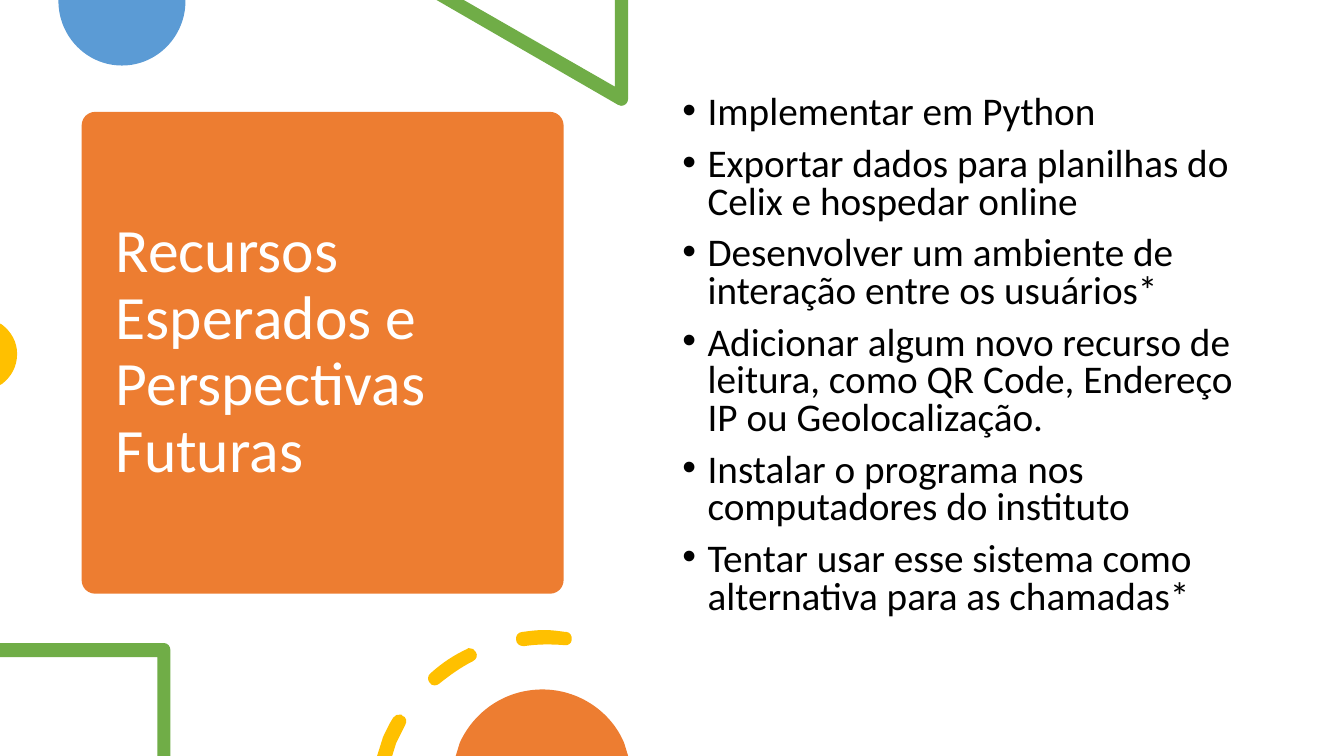
from lxml.etree import SubElement
from pptx import Presentation
from pptx.dml.color import RGBColor
from pptx.enum.shapes import MSO_SHAPE
from pptx.enum.text import MSO_ANCHOR
from pptx.oxml.ns import qn
from pptx.util import Inches, Pt

BLUE, GREEN, ORANGE, YELLOW = "5B9BD5", "70AD47", "ED7D31", "FFC000"
WHITE, BLACK = "FFFFFF", "000000"

RESOURCES = [
    "Implementar em Python",
    "Exportar dados para planilhas do Celix e hospedar online",
    "Desenvolver um ambiente de interação entre os usuários*",
    "Adicionar algum novo recurso de leitura, como QR Code, Endereço IP ou Geolocalização.",
    "Instalar o programa nos computadores do instituto",
    "Tentar usar esse sistema como alternativa para as chamadas*",
]

BLUE_DISC = [(1.84, 0), (0.58, 0), (0.58, 0.01), (0.58, 0.36, 0.86, 0.65, 1.21, 0.65),
             (1.56, 0.65, 1.84, 0.36, 1.84, 0.01)]
GREEN_TRIANGLE = [(6.23, 0), (6.1, 0), (6.1, 0.86), (4.6, 0), (4.33, 0), (6.13, 1.04),
                  (6.14, 1.05, 6.15, 1.05, 6.16, 1.05), (6.2, 1.05, 6.23, 1.02, 6.23, 0.98)]
YELLOW_DISC = [(0, 3.21), (0, 3.82), (0.02, 3.81), (0.11, 3.74, 0.17, 3.64, 0.17, 3.51),
               (0.17, 3.39, 0.11, 3.29, 0.02, 3.22)]
GREEN_CORNER = [(1.63, 6.38), (0, 6.38), (0, 6.52), (1.56, 6.52), (1.56, 7.5), (1.69, 7.5),
                (1.69, 6.45), (1.69, 6.41, 1.66, 6.38, 1.63, 6.38)]
LOW_DASH = [(3.97, 7.09), (3.94, 7.08, 3.92, 7.1, 3.9, 7.12),
            (3.86, 7.18, 3.83, 7.25, 3.8, 7.31), (3.74, 7.5), (3.89, 7.5), (3.93, 7.37),
            (3.96, 7.31, 3.99, 7.25, 4.02, 7.19), (4.04, 7.16, 4.03, 7.11, 3.99, 7.1),
            (3.99, 7.09, 3.98, 7.09, 3.97, 7.09)]
MIDDLE_DASH = [(4.65, 6.43), (4.65, 6.43, 4.64, 6.43, 4.63, 6.44),
               (4.5, 6.5, 4.38, 6.58, 4.27, 6.68), (4.24, 6.7, 4.24, 6.75, 4.26, 6.77),
               (4.27, 6.79, 4.29, 6.8, 4.31, 6.8), (4.33, 6.8, 4.35, 6.79, 4.36, 6.78),
               (4.46, 6.7, 4.57, 6.62, 4.69, 6.56), (4.73, 6.54, 4.74, 6.5, 4.72, 6.47),
               (4.71, 6.44, 4.68, 6.43, 4.65, 6.43)]
TOP_DASH = [(5.4, 6.25), (5.32, 6.25, 5.25, 6.26, 5.18, 6.27),
            (5.14, 6.27, 5.11, 6.31, 5.12, 6.35), (5.12, 6.38, 5.15, 6.41, 5.19, 6.41),
            (5.19, 6.41, 5.19, 6.41, 5.2, 6.41), (5.33, 6.39, 5.46, 6.39, 5.6, 6.4),
            (5.63, 6.41, 5.67, 6.38, 5.67, 6.35), (5.68, 6.31, 5.65, 6.27, 5.62, 6.27),
            (5.62, 6.27, 5.61, 6.27, 5.61, 6.27), (5.54, 6.26, 5.47, 6.25, 5.4, 6.25)]
ORANGE_DISC = [(5.38, 6.84), (5.01, 6.84, 4.7, 7.06, 4.56, 7.37), (4.52, 7.5), (6.23, 7.5),
               (6.19, 7.37), (6.06, 7.06, 5.74, 6.84, 5.38, 6.84)]


def color(value):
    return RGBColor.from_string(value)


def end_point(segment):
    return Inches(segment[-2]), Inches(segment[-1])


class SlideBuilder:
    font = "Calibri"

    def __init__(self, page):
        self.page = page

    def paint(self, shape, fill):
        shape.shadow.inherit = False
        shape.fill.solid()
        shape.fill.fore_color.rgb = color(fill)
        shape.line.fill.background()

    def card(self, left, top, width, height, fill, radius):
        shape = self.page.shapes.add_shape(MSO_SHAPE.ROUNDED_RECTANGLE, Inches(left),
                                           Inches(top), Inches(width), Inches(height))
        shape.adjustments[0] = radius
        self.paint(shape, fill)

    def freeform(self, fill, *outlines):
        builder = self.page.shapes.build_freeform(*end_point(outlines[0][0]))
        for index, outline in enumerate(outlines):
            if index:
                builder.move_to(*end_point(outline[0]))
            builder.add_line_segments([end_point(segment) for segment in outline[1:]])
        shape = builder.convert_to_shape()
        self.bend(shape, [segment for outline in outlines for segment in outline[1:]])
        self.paint(shape, fill)

    def bend(self, shape, segments):
        lines = list(shape._element.iter(qn("a:lnTo")))
        for line, segment in zip(lines, segments):
            if len(segment) == 2:
                continue
            line.tag = qn("a:cubicBezTo")
            end = line[0]
            for x, y in (segment[:2], segment[2:4]):
                control = SubElement(line, qn("a:pt"))
                control.set("x", str(Inches(x) - shape.left))
                control.set("y", str(Inches(y) - shape.top))
            line.append(end)

    def text(self, left, top, width, height, lines, size, ink, spacing,
             anchor=MSO_ANCHOR.TOP, bullets=False):
        box = self.page.shapes.add_textbox(Inches(left), Inches(top),
                                           Inches(width), Inches(height))
        frame = box.text_frame
        frame.word_wrap = True
        frame.vertical_anchor = anchor
        for index, line in enumerate(lines):
            para = frame.add_paragraph() if index else frame.paragraphs[0]
            para.line_spacing = spacing
            if bullets:
                self.bullet(para)
            span = para.add_run()
            span.text = line
            span.font.name = self.font
            span.font.size = Pt(size)
            span.font.color.rgb = color(ink)

    def bullet(self, para):
        para.space_before = Pt(10)
        properties = para._p.get_or_add_pPr()
        properties.set("marL", str(Inches(0.25)))
        properties.set("indent", str(-Inches(0.25)))
        SubElement(properties, qn("a:buFont")).set("typeface", "Arial")
        SubElement(properties, qn("a:buChar")).set("char", "•")


def main():
    deck = Presentation()
    deck.slide_width, deck.slide_height = Inches(13.33), Inches(7.5)
    slide = SlideBuilder(deck.slides.add_slide(deck.slide_layouts[6]))

    slide.card(0.81, 1.11, 4.78, 4.78, ORANGE, 0.028)
    slide.text(1.05, 1.22, 4.31, 4.56, ["Recursos Esperados e Perspectivas Futuras"],
               44, WHITE, 0.9, anchor=MSO_ANCHOR.MIDDLE)
    slide.freeform(BLUE, BLUE_DISC)
    slide.freeform(GREEN, GREEN_TRIANGLE)
    slide.freeform(YELLOW, YELLOW_DISC)
    slide.text(6.67, 0.9, 5.86, 5.49, RESOURCES, 28, BLACK, 0.8, bullets=True)
    slide.freeform(GREEN, GREEN_CORNER)
    slide.freeform(YELLOW, LOW_DASH, MIDDLE_DASH, TOP_DASH)
    slide.freeform(ORANGE, ORANGE_DISC)
    deck.save("out.pptx")


if __name__ == "__main__":
    main()
